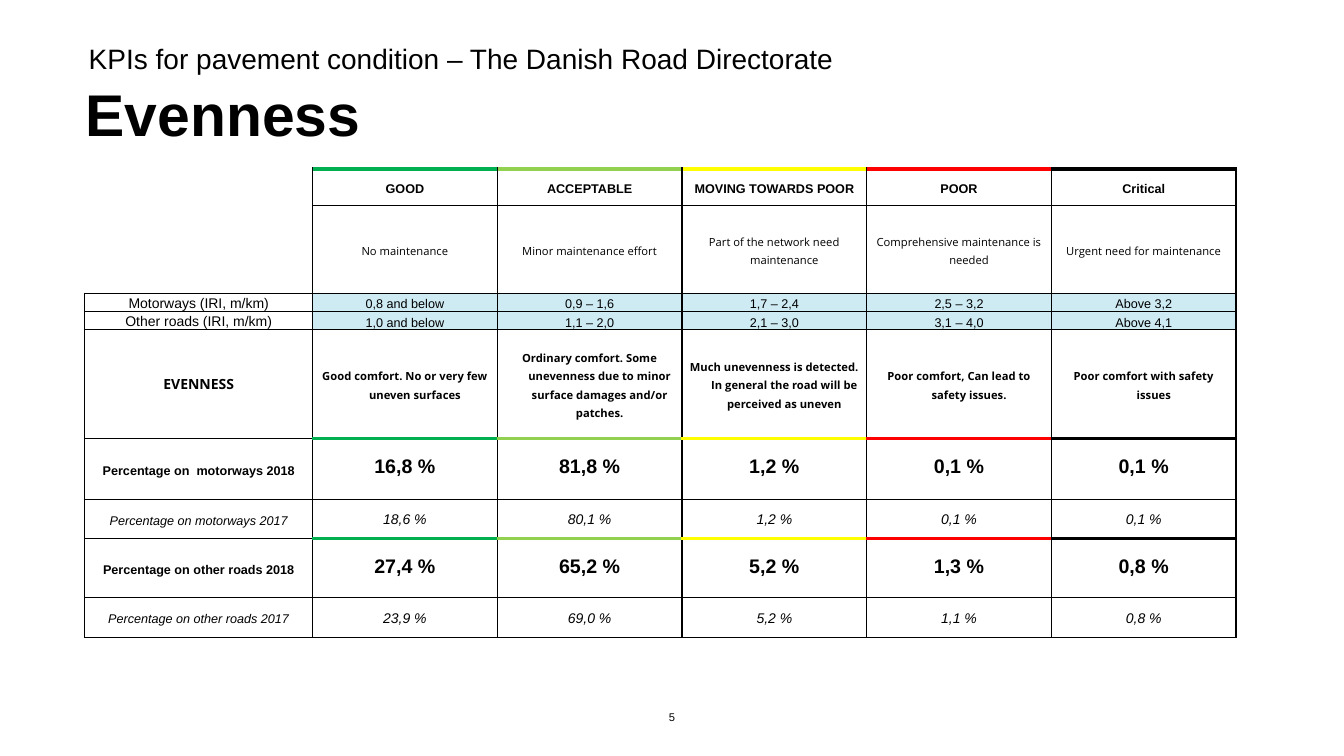
from collections import namedtuple

from lxml import etree
from pptx import Presentation
from pptx.dml.color import RGBColor
from pptx.enum.text import MSO_ANCHOR, MSO_AUTO_SIZE, PP_ALIGN
from pptx.oxml.ns import qn
from pptx.util import Inches, Pt

BLACK = RGBColor(0x00, 0x00, 0x00)
WHITE = RGBColor(0xFF, 0xFF, 0xFF)
LIMIT_BLUE = RGBColor(0xCE, 0xEA, 0xF3)
GREEN = RGBColor(0x00, 0xB0, 0x50)
LIME = RGBColor(0x92, 0xD0, 0x50)
YELLOW = RGBColor(0xFF, 0xFF, 0x00)
RED = RGBColor(0xFF, 0x00, 0x00)
GRADE_COLOURS = [GREEN, LIME, YELLOW, RED, BLACK]

Style = namedtuple("Style", "size font bold italic margin",
                   defaults=("Arial", False, False, 0.07))
Row = namedtuple("Row", "height label label_style values value_style fill accent",
                 defaults=(None, False))

HEADING = Style(9, bold=True)
PLAIN = Style(10)
LIMIT = Style(9)
ADVICE = Style(8, "Open Sans", margin=0.04)
COMFORT = Style(8, "Open Sans", bold=True, margin=0.04)
TOPIC = Style(10, "Open Sans", bold=True)
CURRENT = Style(14, bold=True)
EARLIER_LABEL = Style(9, italic=True)
EARLIER = Style(10, italic=True)

# An accent row carries the grade colours along its top edge
ROWS = [
    Row(0.36, None, HEADING,
        ["GOOD", "ACCEPTABLE", "MOVING TOWARDS POOR", "POOR", "Critical"],
        HEADING, accent=True),
    Row(0.87, None, PLAIN,
        ["No maintenance", "Minor maintenance effort",
         "Part of the network need maintenance",
         "Comprehensive maintenance is needed", "Urgent need for maintenance"], ADVICE),
    Row(0.18, "Motorways (IRI, m/km)", PLAIN,
        ["0,8 and below", "0,9 – 1,6", "1,7 – 2,4", "2,5 – 3,2", "Above 3,2"],
        LIMIT, LIMIT_BLUE),
    Row(0.18, "Other roads (IRI, m/km)", PLAIN,
        ["1,0 and below", "1,1 – 2,0", "2,1 – 3,0", "3,1 – 4,0", "Above 4,1"],
        LIMIT, LIMIT_BLUE),
    Row(1.08, "EVENNESS", TOPIC,
        ["Good comfort. No or very few uneven surfaces",
         "Ordinary comfort. Some unevenness due to minor surface damages and/or patches.",
         "Much unevenness is detected. In general the road will be perceived as uneven",
         "Poor comfort, Can lead to safety issues.",
         "Poor comfort with safety issues"], COMFORT),
    Row(0.6, "Percentage on  motorways 2018", HEADING,
        ["16,8 %", "81,8 %", "1,2 %", "0,1 %", "0,1 %"], CURRENT, accent=True),
    Row(0.39, "Percentage on motorways 2017", EARLIER_LABEL,
        ["18,6 %", "80,1 %", "1,2 %", "0,1 %", "0,1 %"], EARLIER, WHITE),
    Row(0.59, "Percentage on other roads 2018", HEADING,
        ["27,4 %", "65,2 %", "5,2 %", "1,3 %", "0,8 %"], CURRENT, accent=True),
    Row(0.39, "Percentage on other roads 2017", EARLIER_LABEL,
        ["23,9 %", "69,0 %", "5,2 %", "1,1 %", "0,8 %"], EARLIER),
]


def style_font(font, style):
    font.size, font.name = Pt(style.size), style.font
    font.bold, font.italic = style.bold, style.italic
    font.color.rgb = BLACK


def place_text(shape, box, text, style, anchor):
    shape.left, shape.top, shape.width, shape.height = map(Inches, box)
    frame = shape.text_frame
    frame.auto_size = MSO_AUTO_SIZE.NONE
    frame.word_wrap = True
    frame.vertical_anchor = anchor
    frame.margin_left = frame.margin_right = frame.margin_top = frame.margin_bottom = 0
    paragraph = frame.paragraphs[0]
    paragraph.text = text
    style_font(paragraph.runs[0].font, style)
    return paragraph


def add_headings(slide, box):
    left, top, width, height = box
    title = place_text(slide.shapes.title, (left, top + 0.48, width, height - 0.48),
                       "Evenness", Style(42, bold=True), MSO_ANCHOR.BOTTOM)
    title.alignment = PP_ALIGN.LEFT
    title.line_spacing = 0.93
    kicker = place_text(slide.placeholders[1], (left + 0.03, top, width - 0.03, 0.47),
                        "KPIs for pavement condition – The Danish Road Directorate",
                        Style(20), MSO_ANCHOR.BOTTOM)
    kicker.line_spacing = 1.02
    kicker.space_before = kicker.space_after = Pt(6)
    properties = kicker._p.get_or_add_pPr()
    properties.set("marL", "0")
    properties.set("indent", "0")
    etree.SubElement(properties, qn("a:buNone"))


def set_borders(cell, edges):
    """edges maps L, R, T and B to (colour, points), or to None for no line."""
    properties = cell._tc.get_or_add_tcPr()
    for position, side in enumerate("LRTB"):
        line = etree.Element(qn(f"a:ln{side}"))
        if edges[side]:
            colour, points = edges[side]
            line.set("w", str(Pt(points)))
            fill = etree.SubElement(line, qn("a:solidFill"))
            etree.SubElement(fill, qn("a:srgbClr")).set("val", str(colour))
        else:
            etree.SubElement(line, qn("a:noFill"))
        properties.insert(position, line)


def fill_cell(cell, text, style, fill):
    cell.vertical_anchor = MSO_ANCHOR.MIDDLE
    cell.margin_left = cell.margin_right = Inches(style.margin)
    cell.margin_top = cell.margin_bottom = 0
    if fill is None:
        cell.fill.background()
    else:
        cell.fill.solid()
        cell.fill.fore_color.rgb = fill
    paragraph = cell.text_frame.paragraphs[0]
    paragraph.alignment = PP_ALIGN.CENTER
    paragraph.line_spacing = Pt(13)
    properties = paragraph._p.get_or_add_pPr()
    properties.set("marL", str(Inches(0.2)))
    properties.set("indent", str(Inches(-0.2)))
    if text:
        paragraph.text = text
        style_font(paragraph.runs[0].font, style)
    else:
        paragraph.font.size = Pt(style.size)


def cell_edges(row, column):
    thin = (BLACK, 1)
    edges = dict.fromkeys("LRTB", thin)
    if column == 0:
        if ROWS[row].label is None:
            edges["L"] = edges["T"] = None
            if ROWS[row + 1].label is None:
                edges["B"] = None
        return edges
    accent = (GRADE_COLOURS[column - 1], 3)
    if ROWS[row].accent:
        edges["T"] = accent
    if row + 1 < len(ROWS) and ROWS[row + 1].accent:
        edges["B"] = accent
    return edges


def add_kpi_table(slide, box):
    left, top, width, height = box
    label_width = 2.26
    grades = len(GRADE_COLOURS)
    table = slide.shapes.add_table(len(ROWS), grades + 1, *map(Inches, box)).table
    table.first_row = table.horz_banding = False
    table.columns[0].width = Inches(label_width)
    for column in range(1, grades + 1):
        table.columns[column].width = Inches((width - label_width) / grades)
    for r, row in enumerate(ROWS):
        table.rows[r].height = Inches(row.height)
        fill_cell(table.cell(r, 0), row.label, row.label_style, None)
        for c, value in enumerate(row.values, start=1):
            fill_cell(table.cell(r, c), value, row.value_style, row.fill)
        for c in range(grades + 1):
            set_borders(table.cell(r, c), cell_edges(r, c))
    # Empty corner beside the grade headings
    table.cell(0, 0).merge(table.cell(1, 0))


def add_page_number(slide, box):
    shape = slide.shapes.add_textbox(*map(Inches, box))
    number = place_text(shape, box, "5", Style(8), MSO_ANCHOR.MIDDLE)
    number.alignment = PP_ALIGN.CENTER


presentation = Presentation()
presentation.slide_width, presentation.slide_height = Inches(13.33), Inches(7.5)
slide = presentation.slides.add_slide(presentation.slide_layouts[1])
add_headings(slide, (0.85, 0.28, 11.6, 1.2))
add_kpi_table(slide, (0.84, 1.68, 11.42, sum(row.height for row in ROWS)))
add_page_number(slide, (6.3, 6.91, 0.73, 0.4))
presentation.save("out.pptx")
